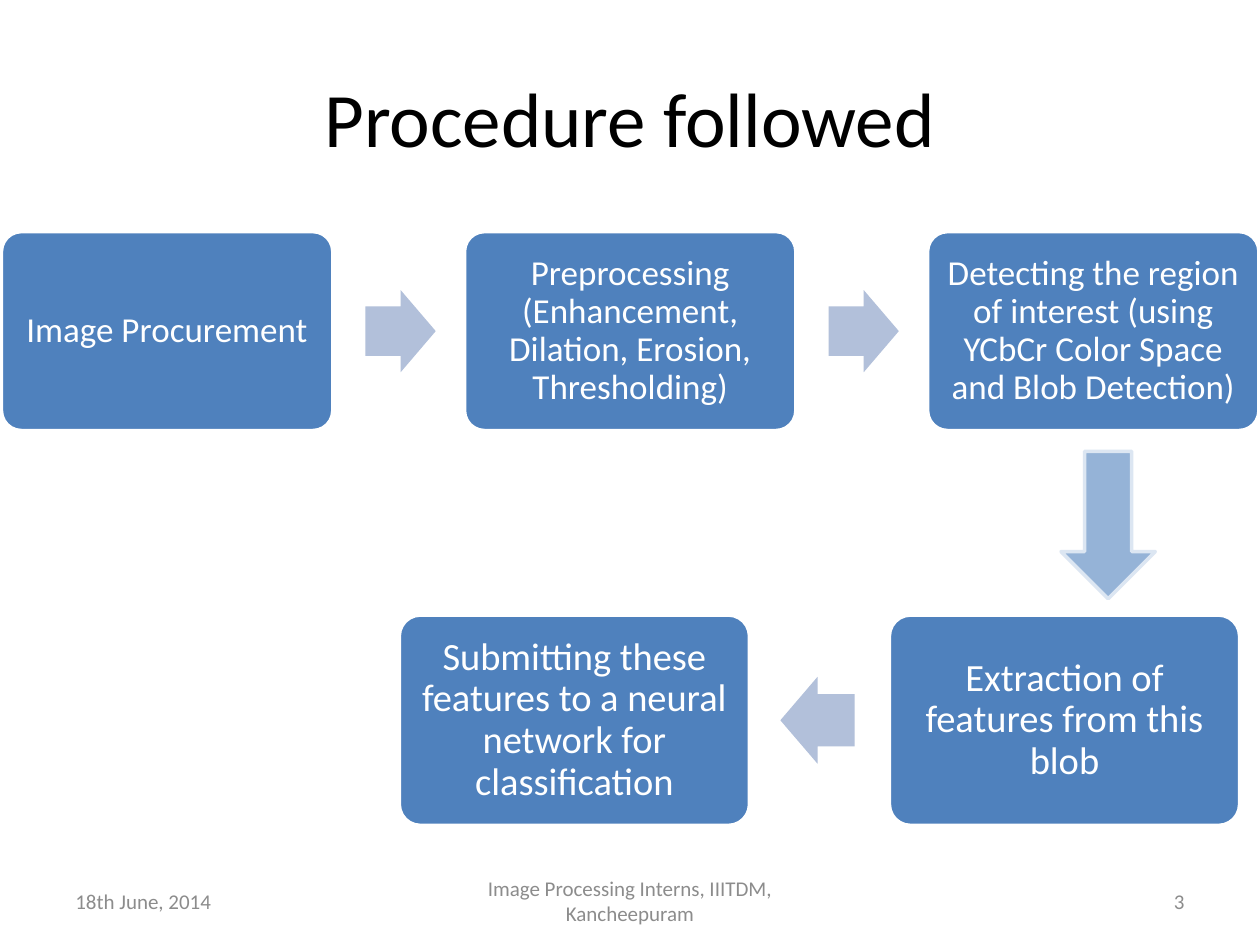
from pptx import Presentation
from pptx.dml.color import RGBColor
from pptx.enum.shapes import MSO_SHAPE
from pptx.enum.text import MSO_ANCHOR, PP_ALIGN
from pptx.util import Cm, Pt

ROUND = MSO_SHAPE.ROUNDED_RECTANGLE
RIGHT = MSO_SHAPE.RIGHT_ARROW
DOWN = MSO_SHAPE.DOWN_ARROW
MID = MSO_ANCHOR.MIDDLE
START, CENTER, END = PP_ALIGN.LEFT, PP_ALIGN.CENTER, PP_ALIGN.RIGHT

BLUE, PALE, WHITE, BLACK, GREY = "4F81BD", "B2C0DA", "FFFFFF", "000000", "8C8C8C"


def color(code):
    return RGBColor.from_string(code)


def apply(item, **values):
    for name, value in values.items():
        setattr(item, name, value)


def write(shape, text, size, code, align=CENTER, pad=None, space=None):
    frame = shape.text_frame
    apply(frame, word_wrap=True, vertical_anchor=MID)
    if pad is not None:
        sides = ("left", "top", "right", "bottom")
        apply(frame, **{f"margin_{side}": Cm(pad) for side in sides})
    para = frame.paragraphs[0]
    apply(para, alignment=align, line_spacing=space)
    run = para.add_run()
    run.text = text
    apply(run.font, name="Calibri", size=Pt(size))
    run.font.color.rgb = color(code)


def label(slide, box, text, size, code, align=CENTER):
    shape = slide.shapes.add_textbox(*map(Cm, box))
    write(shape, text, size, code, align)


def block(slide, kind, box, adjust, fill, edge=None):
    shape = slide.shapes.add_shape(kind, *map(Cm, box))
    shape.shadow.inherit = False
    for i, value in enumerate(adjust):
        shape.adjustments[i] = value
    shape.fill.solid()
    shape.fill.fore_color.rgb = color(fill)
    if edge:
        shape.line.color.rgb = color(edge)
        shape.line.width = Pt(2)
    else:
        shape.line.fill.background()
    return shape


def flow(slide, box, width, steps, size, pad, back=False):
    """Spread the steps evenly over the box, with an arrow in each gap."""
    left, top, span, high = box
    pitch = (span - width) / (len(steps) - 1)
    wide, tall = 0.212 * width, 0.248 * width
    nudge = -0.04 if back else 0.04
    for i, text in enumerate(steps):
        x = left + i * pitch
        card = block(slide, ROUND, (x, top, width, high), [0.1], BLUE, WHITE)
        write(card, text, size, WHITE, pad=pad, space=0.9)
        if i:
            mid = x - (pitch - width) / 2 + nudge
            place = (mid - wide / 2, top + (high - tall) / 2, wide, tall)
            arrow = block(slide, RIGHT, place, [0.6, 0.5], PALE)
            arrow.rotation = 180 if back else 0


def footer(slide, box):
    left, top, width, high = box
    side, mid = 5.92, 8.05
    parts = [
        (0, side, "18th June, 2014", START),
        ((width - mid) / 2, mid, "Image Processing Interns, IIITDM, Kancheepuram", CENTER),
        (width - side, side, "3", END),
    ]
    for x, wide, text, align in parts:
        label(slide, (left + x, top, wide, high), text, 12, GREY, align)


def main():
    deck = Presentation()
    deck.slide_width, deck.slide_height = Cm(25.4), Cm(19.05)
    slide = deck.slides.add_slide(deck.slide_layouts[6])

    label(slide, (1.27, 0.76, 22.86, 3.18), "Procedure followed", 44, BLACK)
    flow(slide, (0.03, 4.67, 25.35, 4.01), 6.68, [
        "Image Procurement",
        "Preprocessing (Enhancement, Dilation, Erosion, Thresholding)",
        "Detecting the region of interest (using YCbCr Color Space and Blob Detection)",
    ], 20, 0.2)
    block(slide, DOWN, (21.39, 9.1, 1.9, 2.97), [0.5, 0.5], "95B3D7", "DCE6F2")
    flow(slide, (8.05, 12.4, 16.94, 4.24), 7.06, [
        "Submitting these features to a neural network for classification",
        "Extraction of features from this blob",
    ], 22, 0.23, back=True)
    footer(slide, (1.27, 17.65, 22.86, 1.02))

    deck.save("out.pptx")


if __name__ == "__main__":
    main()
